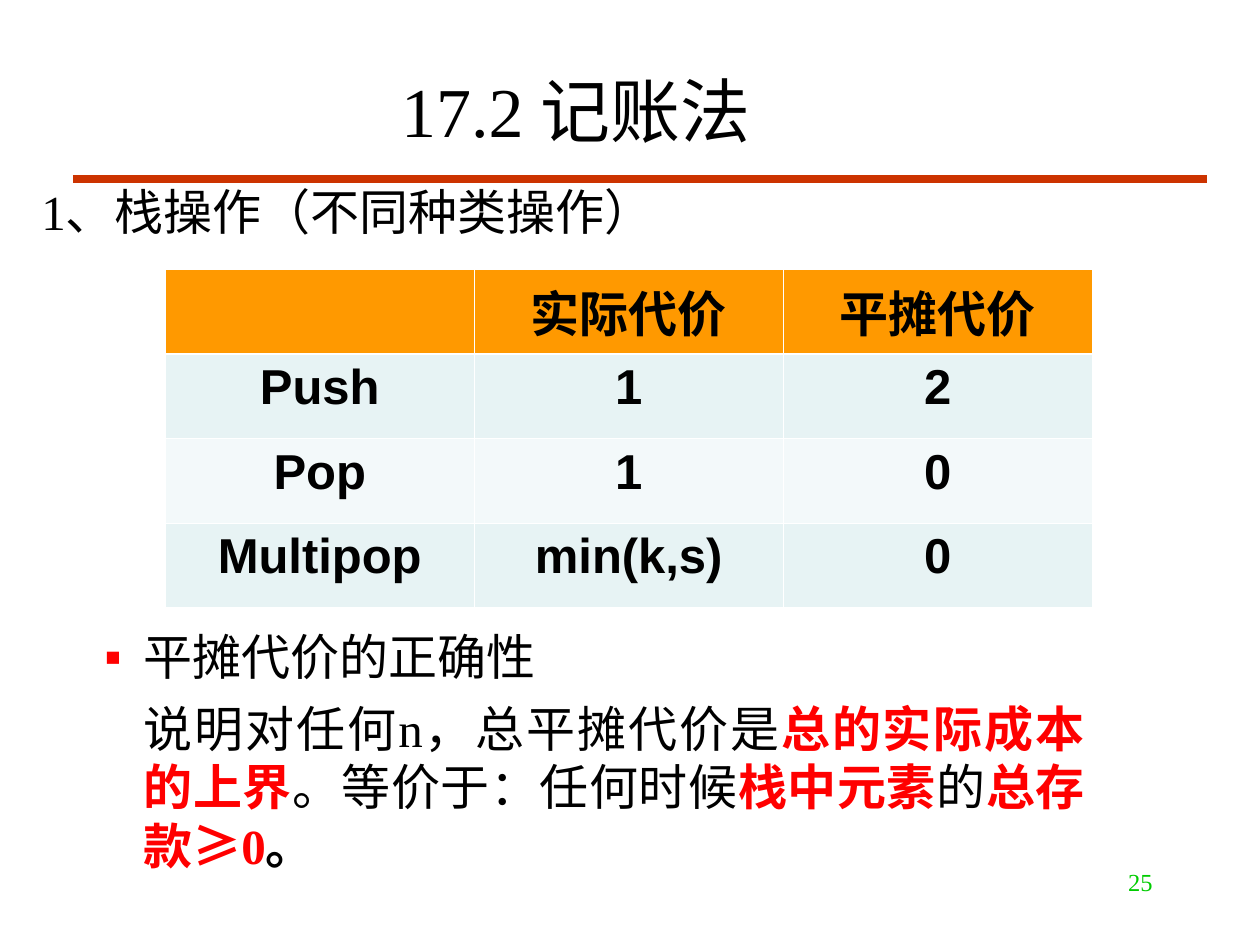
from lxml import etree
from pptx import Presentation
from pptx import util as u
from pptx.dml.color import RGBColor
from pptx.enum import shapes, text
from pptx.oxml.ns import qn

COLORS = {
    "ink": "000000", "red": "FF0000", "rule": "CC3300", "number": "00CC00",
    "header": "FF9900", "odd": "E7F3F4", "even": "F3F9FA", "border": "FFFFFF",
}
ALIGN = text.PP_ALIGN


class SlideBuilder:
    """Holds the style and the current slide, and adds each kind of element."""

    serif, sans, size = "Times New Roman", "Arial", 28

    def __init__(self, page):
        self.page = page

    def color(self, name):
        return RGBColor.from_string(COLORS[name])

    def style(self, font, color="ink", size=None, name=None, bold=False):
        font.name, font.size, font.bold = name or self.serif, u.Pt(size or self.size), bold
        font.color.rgb = self.color(color)

    def place(self, box, left, top, width, height):
        box.left, box.top, box.width, box.height = map(u.Cm, (left, top, width, height))
        box.text_frame.word_wrap = True
        box.text_frame.auto_size = text.MSO_AUTO_SIZE.NONE

    def rule(self, left, right, y, width):
        line = self.page.shapes.add_connector(
            shapes.MSO_CONNECTOR.STRAIGHT, u.Cm(left), u.Cm(y), u.Cm(right), u.Cm(y))
        line.line.color.rgb, line.line.width = self.color("rule"), u.Pt(width)
        etree.SubElement(line._element.spPr, qn("a:effectLst"))
        self.page.shapes._spTree.insert(2, line._element)

    def title(self, words, *area):
        box = self.page.shapes.title
        self.place(box, *area)
        box.text_frame.text = words
        box.text_frame.vertical_anchor = text.MSO_ANCHOR.MIDDLE
        para = box.text_frame.paragraphs[0]
        para.alignment = ALIGN.CENTER
        self.style(para.runs[0].font, size=40)

    def label(self, words, color, size, *area):
        box = self.page.shapes.add_textbox(0, 0, 0, 0)
        self.place(box, *area)
        box.text_frame.text = words
        para = box.text_frame.paragraphs[0]
        para.alignment = ALIGN.RIGHT
        self.style(para.runs[0].font, color, size)

    def body(self, items, *area):
        box = self.page.placeholders[1]
        self.place(box, *area)
        for index, item in enumerate(items):
            frame = box.text_frame
            para = frame.add_paragraph() if index else frame.paragraphs[0]
            self.paragraph(para, **item)

    def paragraph(self, para, spans, margin, indent=0, before=0, level=0,
                  bullet=None, align=ALIGN.LEFT):
        para.level, para.alignment, para.space_before = level, align, u.Pt(before)
        props = para._p.get_or_add_pPr()
        props.set("marL", str(u.Cm(margin)))
        props.set("indent", str(u.Cm(indent)))
        if bullet:
            tint = etree.SubElement(props, qn("a:buClr"))
            etree.SubElement(tint, qn("a:srgbClr"), val=COLORS["red"])
            etree.SubElement(props, qn("a:buFont"), typeface=self.sans)
            etree.SubElement(props, qn("a:buChar"), char=bullet)
        else:
            etree.SubElement(props, qn("a:buNone"))
        for words, color, bold in spans:
            span = para.add_run()
            span.text = words
            self.style(span.font, color, bold=bold)

    def table(self, rows, *area):
        grid = self.page.shapes.add_table(len(rows), len(rows[0]), *map(u.Cm, area)).table
        for r, row in enumerate(rows):
            fill = "header" if r == 0 else "odd" if r % 2 else "even"
            for c, words in enumerate(row):
                self.cell(grid.cell(r, c), words, fill,
                          top=1.5 if r == 1 else 0.5, bottom=1.5 if r == 0 else 0.5)

    def cell(self, cell, words, fill, top, bottom):
        cell.fill.solid()
        cell.fill.fore_color.rgb = self.color(fill)
        props = cell._tc.get_or_add_tcPr()
        sides = {"lnL": 0.5, "lnR": 0.5, "lnT": top, "lnB": bottom}
        for index, (side, width) in enumerate(sides.items()):
            edge = etree.Element(qn(f"a:{side}"), w=str(u.Pt(width)))
            paint = etree.SubElement(edge, qn("a:solidFill"))
            etree.SubElement(paint, qn("a:srgbClr"), val=COLORS["border"])
            props.insert(index, edge)
        cell.text_frame.text = words
        para = cell.text_frame.paragraphs[0]
        para.alignment = ALIGN.CENTER
        self.style(para.font, name=self.sans, bold=True)
        for span in para.runs:
            self.style(span.font, name=self.sans, bold=True)


def main():
    deck = Presentation()
    deck.slide_width, deck.slide_height = u.Cm(25.4), u.Cm(19.05)
    builder = SlideBuilder(deck.slides.add_slide(deck.slide_layouts[1]))
    builder.rule(1.47, 24.33, 3.61, 4.5)
    builder.title("17.2 记账法", 1.4, 1.22, 20.42, 1.96)
    builder.body([
        dict(spans=[("1、栈操作（不同种类操作）", "ink", False)], margin=0.95, indent=-0.95),
        dict(spans=[("平摊代价的正确性", "ink", False)], margin=2.06, indent=-0.79,
             before=221, level=1, bullet="▪"),
        dict(spans=[
            ("说明对任何n，总平摊代价是", "ink", False),
            ("总的实际成本的上界", "red", True),
            ("。等价于：任何时候", "ink", False),
            ("栈中元素", "red", True),
            ("的", "ink", False),
            ("总存款≥0", "red", True),
            ("。", "ink", True),
        ], margin=2.06, before=7, level=1, align=ALIGN.JUSTIFY),
    ], 0.58, 3.53, 21.54, 14.88)
    builder.label("25", "number", 14, 18.21, 17.35, 5.28, 1.27)
    builder.table([
        ["", "实际代价", "平摊代价"],
        ["Push", "1", "2"],
        ["Pop", "1", "0"],
        ["Multipop", "min(k,s)", "0"],
    ], 3.33, 5.44, 18.69, 6.81)
    deck.save("out.pptx")


if __name__ == "__main__":
    main()
